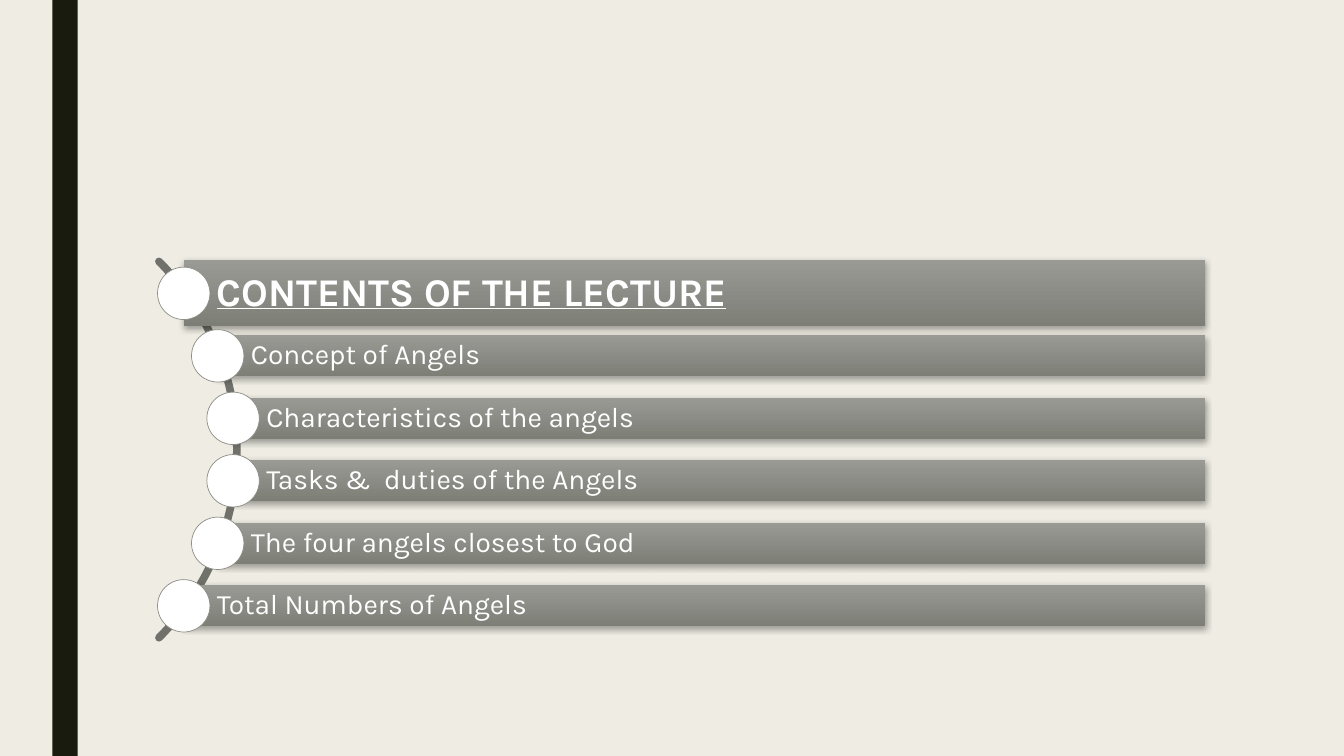
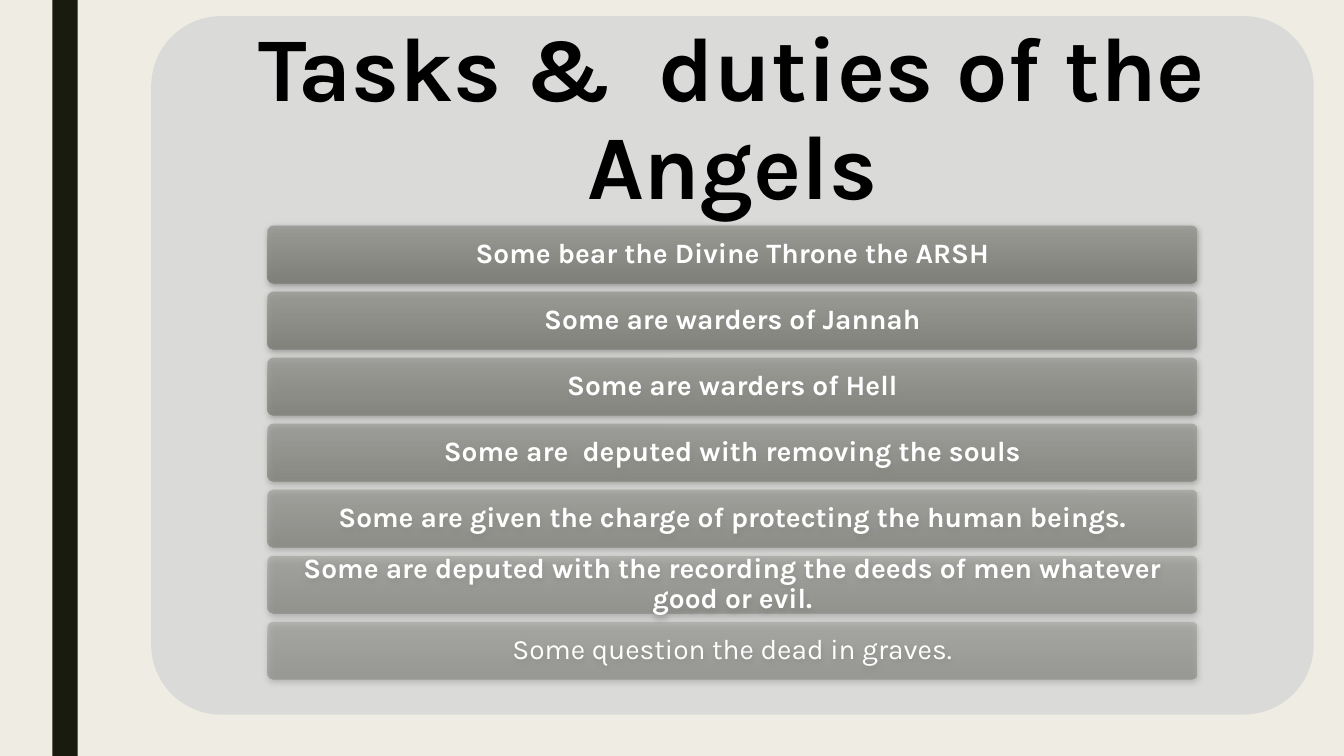
from math import cos, radians, sin, sqrt

from lxml.etree import SubElement
from pptx import Presentation
from pptx.dml.color import RGBColor
from pptx.enum.shapes import MSO_SHAPE
from pptx.enum.text import MSO_ANCHOR, PP_ALIGN
from pptx.oxml.ns import qn
from pptx.util import Inches, Pt

FONT = "Karla"
BACKGROUND = "EFEDE3"
BAND = "191B0E"
PANEL = "DADBD9"
ARC = "70716B"
OUTLINE = "8C8D86"
BAR_TOP, BAR_BOTTOM = "999A94", "7D7E76"
WHITE, BLACK = "FFFFFF", "000000"

CONTENTS = [
    "CONTENTS OF THE LECTURE",
    "Concept of Angels",
    "Characteristics of the angels",
    "Tasks &  duties of the Angels",
    "The four angels closest to God",
    "Total Numbers of Angels",
]
DUTIES = [
    "Some bear the Divine Throne the ARSH",
    "Some are warders of Jannah",
    "Some are warders of Hell",
    "Some are  deputed with removing the souls",
    "Some are given the charge of protecting the human beings.",
    "Some are deputed with the recording the deeds of men whatever good or evil.",
    "Some question the dead in graves.",
]


def color(value):
    """Return the colour for a hex string."""
    return RGBColor.from_string(value)


def add_shape(slide, kind, box, fill=None):
    """Add a flat shape without outline or shadow."""
    shape = slide.shapes.add_shape(kind, *map(Inches, box))
    shape.shadow.inherit = False
    shape.line.fill.background()
    if fill:
        shape.fill.solid()
        shape.fill.fore_color.rgb = color(fill)
    return shape


def write(shape, text, size, ink, insets, align=PP_ALIGN.LEFT, bold=False, underline=False):
    """Write one vertically centred paragraph into a shape."""
    frame = shape.text_frame
    frame.word_wrap = True
    frame.vertical_anchor = MSO_ANCHOR.MIDDLE
    frame.margin_left, frame.margin_top, frame.margin_right, frame.margin_bottom = map(Inches, insets)
    paragraph = frame.paragraphs[0]
    paragraph.alignment = align
    paragraph.line_spacing = 0.9
    run = paragraph.add_run()
    run.text = text
    run.font.name = FONT
    run.font.size = Pt(size)
    run.font.bold = bold
    run.font.underline = underline
    run.font.color.rgb = color(ink)


def add_bar(slide, kind, box, opacity=100):
    """Add a bar with a vertical gradient and a soft shadow."""
    bar = add_shape(slide, kind, box)
    bar.fill.gradient()
    bar.fill.gradient_angle = 270
    for stop, value in zip(bar.fill.gradient_stops, (BAR_TOP, BAR_BOTTOM)):
        stop.color.rgb = color(value)
    properties = bar._element.spPr
    for stop_color in properties.iter(qn("a:srgbClr")):
        SubElement(stop_color, qn("a:alpha"), val=str(round(opacity * 1000)))
    shadow = SubElement(
        properties.find(qn("a:effectLst")), qn("a:outerShdw"),
        blurRad=str(Pt(4.5)), dist=str(Pt(1.5)), dir="5400000", rotWithShape="0",
    )
    shadow_color = SubElement(shadow, qn("a:srgbClr"), val=BLACK)
    SubElement(shadow_color, qn("a:alpha"), val="35000")
    return bar


def add_arc(slide, center_x, center_y, radius):
    """Draw the quarter arc that opens to the left."""
    points = [
        (Inches(center_x + radius * cos(radians(angle))),
         Inches(center_y + radius * sin(radians(angle))))
        for angle in range(-45, 46)
    ]
    builder = slide.shapes.build_freeform(*points[0])
    builder.add_line_segments(points[1:], close=False)
    arc = builder.convert_to_shape()
    arc.shadow.inherit = False
    arc.fill.background()
    arc.line.color.rgb = color(ARC)
    arc.line.width = Pt(2.75 * 2)
    arc.line._ln.set("cap", "rnd")


def add_contents(slide, left, top, right, pitch):
    """Place the contents bars, each starting on the arc."""
    radius, dot = 2.62, 0.52
    center_x = left - 1.87
    center_y = top + pitch * (len(CONTENTS) - 1) / 2
    add_arc(slide, center_x, center_y, radius + 0.02)
    for index, text in enumerate(CONTENTS):
        heading = index == 0
        height = 0.66 if heading else 0.41
        middle = top + index * pitch
        start = center_x + sqrt(radius ** 2 - (middle - center_y) ** 2)
        bar = add_bar(slide, MSO_SHAPE.RECTANGLE, (start, middle - height / 2, right - start, height))
        write(bar, text, 28 if heading else 20, WHITE, (0.33, 0.06, 0.06, 0.06),
              bold=heading, underline=heading)
        circle = add_shape(slide, MSO_SHAPE.OVAL, (start - dot / 2, middle - dot / 2, dot, dot), WHITE)
        circle.line.color.rgb = color(OUTLINE)
        circle.line.width = Pt(0.5)


def add_duties(slide, left, top, width, height):
    """Place the rounded panel with its title and stacked bars."""
    panel = add_shape(slide, MSO_SHAPE.ROUNDED_RECTANGLE, (left, top, width, height), PANEL)
    panel.adjustments[0] = 0.1
    title_height = height * 0.3
    title = slide.shapes.add_textbox(*map(Inches, (left, top, width, title_height)))
    write(title, CONTENTS[3], 65, BLACK, (0.27,) * 4, PP_ALIGN.CENTER, bold=True)
    last = len(DUTIES) - 1
    for index, text in enumerate(DUTIES):
        box = (left + width * 0.1, top + title_height + index * 0.655, width * 0.8, 0.57)
        bar = add_bar(slide, MSO_SHAPE.ROUNDED_RECTANGLE, box, 90 - 40 * index / last)
        bar.adjustments[0] = 0.1
        write(bar, text, 20, WHITE, (0.08, 0.06, 0.08, 0.06), PP_ALIGN.CENTER, bold=index < last)


def add_slide(presentation):
    """Add a blank slide with the dark side band."""
    slide = presentation.slides.add_slide(presentation.slide_layouts[6])
    add_shape(slide, MSO_SHAPE.RECTANGLE, (0.52, 0, 0.25, 7.5), BAND)
    return slide


def main():
    """Build and save the presentation."""
    presentation = Presentation()
    presentation.slide_width = Inches(13.33)
    presentation.slide_height = Inches(7.5)
    background = presentation.slide_master.background.fill
    background.solid()
    background.fore_color.rgb = color(BACKGROUND)
    add_contents(add_slide(presentation), 1.58, 2.91, 11.95, 0.62)
    add_duties(add_slide(presentation), 1.5, 0.16, 11.53, 6.93)
    presentation.save("out.pptx")


if __name__ == "__main__":
    main()
